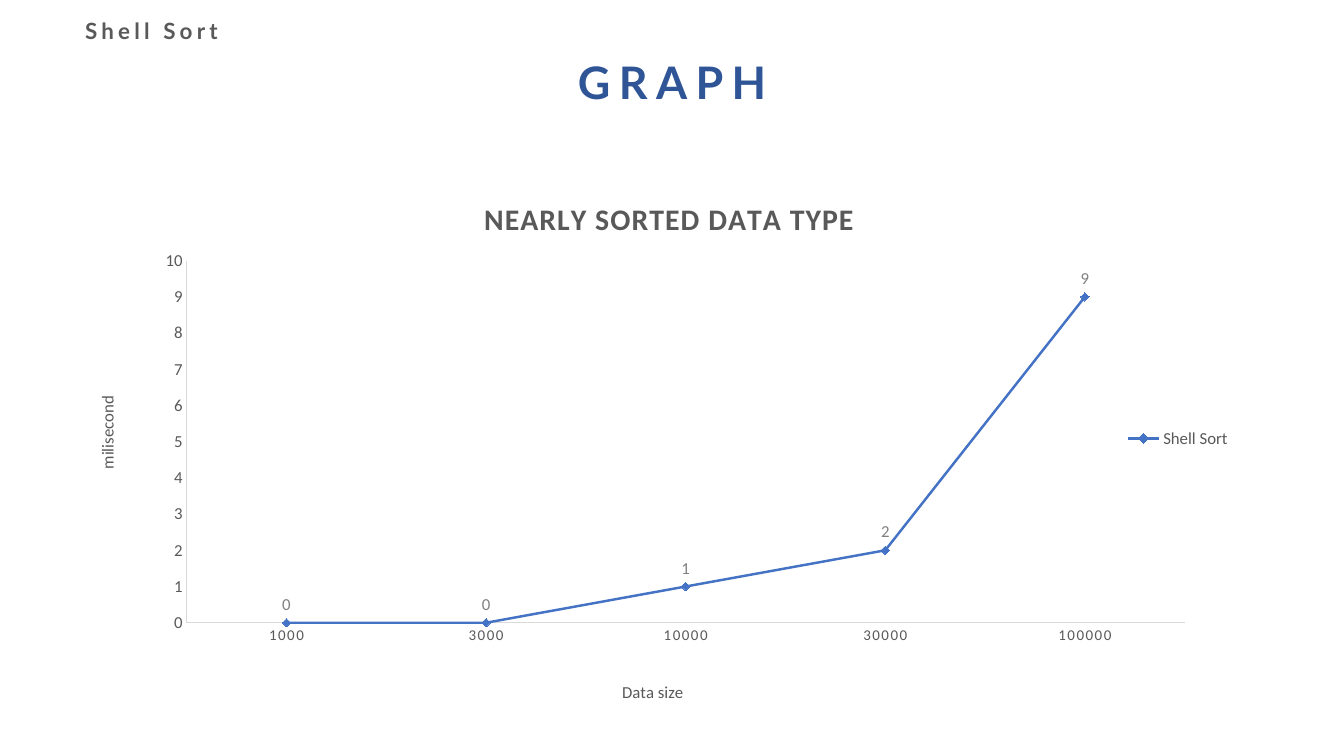
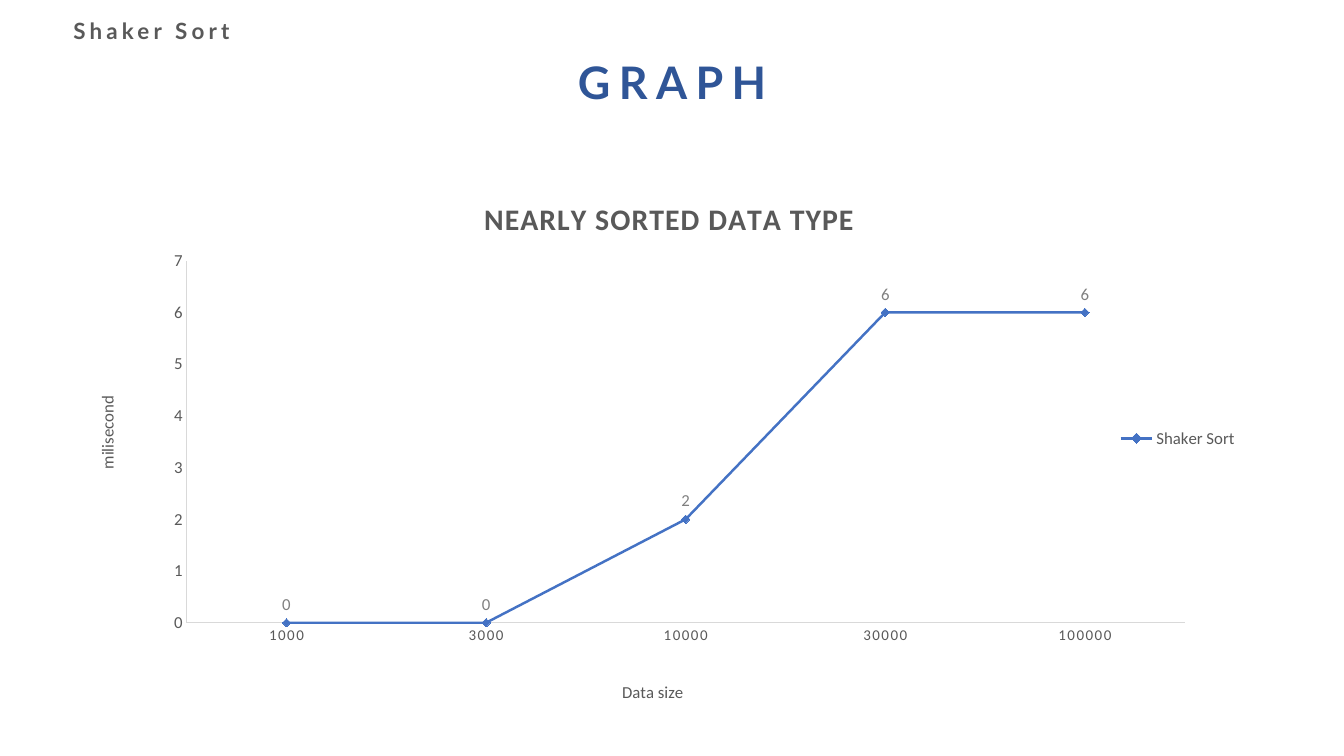
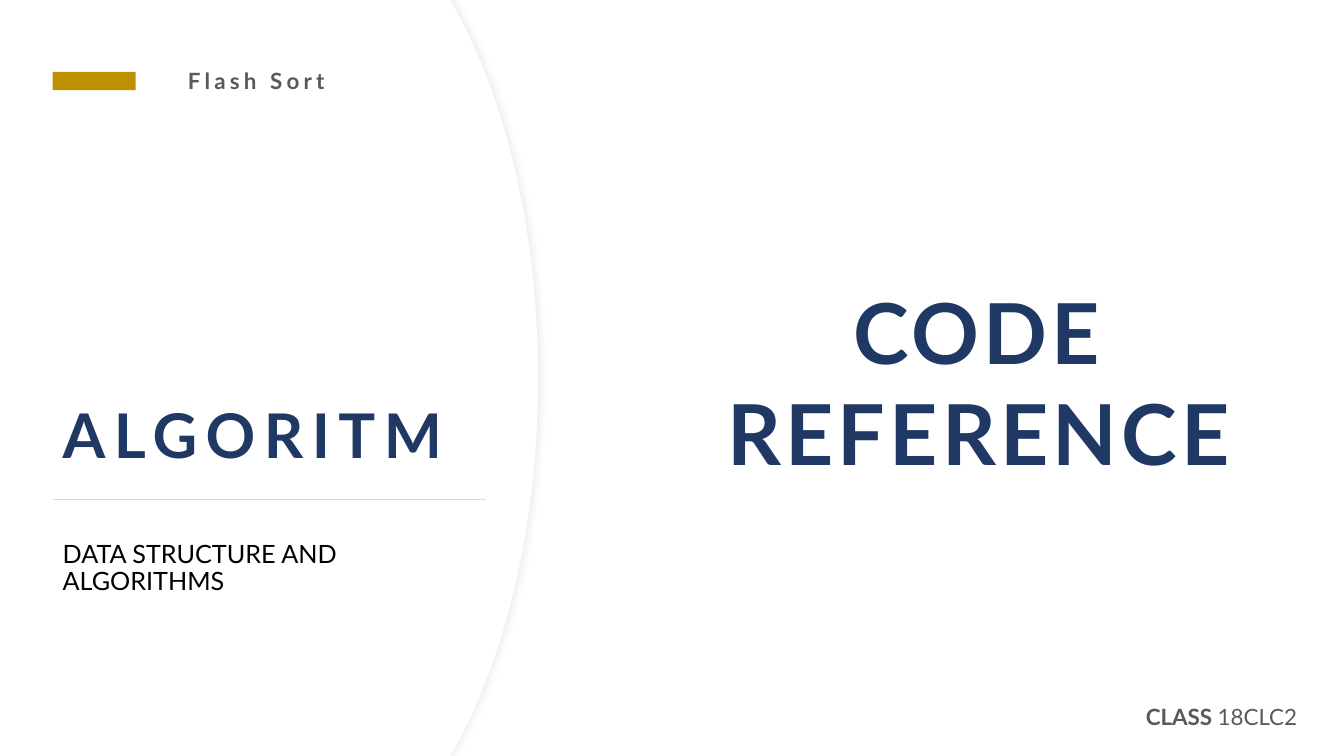
from lxml.etree import SubElement
from pptx import Presentation
from pptx.chart.data import CategoryChartData
from pptx.dml.color import RGBColor
from pptx.enum.chart import XL_CHART_TYPE as ChartType
from pptx.enum.chart import XL_LABEL_POSITION as LabelPosition
from pptx.enum.chart import XL_LEGEND_POSITION as LegendPosition
from pptx.enum.chart import XL_MARKER_STYLE as MarkerStyle
from pptx.enum.chart import XL_TICK_MARK as TickMark
from pptx.enum.shapes import MSO_CONNECTOR as Connector
from pptx.enum.shapes import MSO_SHAPE as Shape
from pptx.enum.text import MSO_ANCHOR as Anchor
from pptx.enum.text import MSO_AUTO_SIZE as AutoSize
from pptx.enum.text import PP_ALIGN as Align
from pptx.oxml.ns import qn
from pptx.util import Cm, Pt

COLORS = {
    "white": "FFFFFF",
    "black": "000000",
    "gray": "595959",
    "label": "808080",
    "rule": "D9D9D9",
    "blue": "2F5597",
    "navy": "203864",
    "gold": "BF9000",
    "series": "4472C4",
}
TEXT_FONT = "Lato"
CHART_FONT = "Calibri"
SLIDE_WIDTH, SLIDE_HEIGHT = 33.87, 19.05
SIZES = ["1000", "3000", "10000", "30000", "100000"]


def color(name):
    return RGBColor.from_string(COLORS[name])


def style_font(font, size, tone, bold=False, spacing=0, name=CHART_FONT):
    font.name, font.size, font.bold = name, Pt(size), bold
    font.color.rgb = color(tone)
    if spacing:
        font._rPr.set("spc", str(round(spacing * 100)))


def place(parent, after=None, target=None, **fractions):
    """Give a chart part a manual layout, in fractions of the chart."""
    for old in parent.findall(qn("c:layout")):
        parent.remove(old)
    layout = SubElement(parent, qn("c:layout"))
    if after:
        parent.find(qn(after)).addnext(layout)
    else:
        parent.insert(0, layout)
    manual = SubElement(layout, qn("c:manualLayout"))
    values = {"layoutTarget": target} if target else {}
    values.update(xMode="edge", yMode="edge", **fractions)
    for tag, value in values.items():
        SubElement(manual, qn(f"c:{tag}")).set("val", str(value))


class Deck:
    """The shared style and the slide being filled."""

    def __init__(self):
        self.presentation = Presentation()
        self.presentation.slide_width = Cm(SLIDE_WIDTH)
        self.presentation.slide_height = Cm(SLIDE_HEIGHT)
        self.slide = None

    def new_slide(self):
        blank = self.presentation.slide_layouts[6]
        self.slide = self.presentation.slides.add_slide(blank)

    def text(self, box, runs, size, tone, bold=True, spacing=0, align=Align.CENTER,
             anchor=Anchor.TOP, grow=True, line=None, before=0, after=6):
        """Add a text box; runs is a string or a list of (text, bold) pairs."""
        shape = self.slide.shapes.add_textbox(*map(Cm, box))
        frame = shape.text_frame
        frame.word_wrap = True
        frame.auto_size = AutoSize.SHAPE_TO_FIT_TEXT if grow else AutoSize.NONE
        frame.vertical_anchor = anchor
        paragraph = frame.paragraphs[0]
        paragraph.alignment = align
        paragraph.line_spacing = line
        paragraph.space_before, paragraph.space_after = Pt(before), Pt(after)
        style_font(paragraph.font, size, tone, bold, spacing, TEXT_FONT)
        if isinstance(runs, str):
            paragraph.add_run().text = runs
        else:
            for words, strong in runs:
                run = paragraph.add_run()
                run.text, run.font.bold = words, strong

    def tag(self, left, top, name):
        self.text((left, top, 5.56, 0.94), name, 16, "gray", spacing=3)

    def fill(self, shape, tone):
        shape.shadow.inherit = False
        shape.fill.solid()
        shape.fill.fore_color.rgb = color(tone)
        shape.line.fill.background()

    def bar(self, box, tone):
        self.fill(self.slide.shapes.add_shape(Shape.RECTANGLE, *map(Cm, box)), tone)

    def rule(self, left, right, top):
        line = self.slide.shapes.add_connector(
            Connector.STRAIGHT, Cm(left), Cm(top), Cm(right), Cm(top))
        line.line.color.rgb = color("rule")
        line.line.width = Pt(0.5)
        SubElement(line._element.spPr, qn("a:effectLst"))

    def curved_panel(self):
        """Add the white panel, rounded on the right, with a soft shadow."""
        left, middle, right = -0.15, 6.83, 13.56
        top, center, bottom = -3.33, 9.53, 22.38
        curves = [
            (10.54, top), (right, 2.41), (right, center),
            (right, 16.64), (10.54, bottom), (middle, bottom),
            (5.18, bottom), (3.68, 21.29), (2.51, 19.46),
        ]
        corners = [(2.29, SLIDE_HEIGHT), (left, SLIDE_HEIGHT), (left, 0), (2.29, 0),
                   (2.51, -0.41)]
        closing_curve = [(3.68, -2.24), (5.18, top), (middle, top)]
        points = curves + corners + closing_curve
        builder = self.slide.shapes.build_freeform(Cm(middle), Cm(top), scale=1.0)
        builder.add_line_segments([(Cm(x), Cm(y)) for x, y in points], close=True)
        panel = builder.convert_to_shape()

        # Turn each three points of a curve into one Bezier segment
        lines = list(panel._element.iter(qn("a:lnTo")))
        for start in (0, 3, 6, len(curves) + len(corners)):
            segment = lines[start:start + 3]
            bezier = SubElement(segment[0].getparent(), qn("a:cubicBezTo"))
            segment[0].addprevious(bezier)
            for step in segment:
                bezier.append(step[0])
                step.getparent().remove(step)

        self.fill(panel, "white")
        effects = panel._element.spPr.find(qn("a:effectLst"))
        shadow = SubElement(effects, qn("a:outerShdw"), blurRad=str(Pt(4)),
                            dist=str(Pt(3)), dir="0", algn="l", rotWithShape="0")
        tone = SubElement(shadow, qn("a:srgbClr"), val=COLORS["rule"])
        SubElement(tone, qn("a:alpha"), val="40000")

    def chart_title(self, title, words, size, x, y, bold=False, spacing=0):
        paragraph = title.text_frame.paragraphs[0]
        paragraph.add_run().text = words
        style_font(paragraph.font, size, "gray", bold, spacing)
        place(title._element, "c:tx", x=x, y=y)

    def line_chart(self, box, name, values, top_value):
        data = CategoryChartData()
        data.categories = SIZES
        data.add_series(name, values)
        chart = self.slide.shapes.add_chart(
            ChartType.LINE_MARKERS, *map(Cm, box), data).chart
        style_font(chart.font, 10, "black")
        place(chart._chartSpace.chart.plotArea, target="inner",
              x=0.081, y=0.154, w=0.861, h=0.669)

        # Titles
        chart.has_title = True
        self.chart_title(chart.chart_title, "NEARLY SORTED DATA TYPE", 21.28,
                         0.333, 0.03, bold=True, spacing=0.9)
        category_axis, value_axis = chart.category_axis, chart.value_axis
        self.chart_title(category_axis.axis_title, "Data size", 12, 0.454, 0.925)
        self.chart_title(value_axis.axis_title, "milisecond", 12, 0, 0.398)
        body = value_axis.axis_title.text_frame._txBody.bodyPr
        body.set("rot", "-5400000")
        body.set("vert", "horz")

        # Axes
        for axis, size, spacing in ((category_axis, 10.64, 1.2), (value_axis, 12, 0)):
            axis.has_major_gridlines = False
            axis.major_tick_mark = axis.minor_tick_mark = TickMark.NONE
            axis.format.line.color.rgb = color("rule")
            axis.format.line.width = Pt(0.75)
            style_font(axis.tick_labels.font, size, "gray", spacing=spacing)
        value_axis.minimum_scale, value_axis.maximum_scale = 0, top_value
        value_axis.major_unit = 1

        # Legend
        chart.has_legend = True
        chart.legend.position = LegendPosition.RIGHT
        chart.legend.include_in_layout = False
        style_font(chart.legend.font, 12, "gray")
        place(chart.legend._element, "c:legendPos", x=0.875, y=0.452, w=0.122, h=0.06)

        # Series
        plot = chart.plots[0]
        plot.vary_by_categories = False
        series = plot.series[0]
        series.smooth = False
        series.format.line.color.rgb = color("series")
        series.format.line.width = Pt(1.75)
        marker = series.marker
        marker.style, marker.size = MarkerStyle.DIAMOND, 6
        marker.format.fill.solid()
        marker.format.fill.fore_color.rgb = color("series")
        marker.format.line.color.rgb = color("series")
        labels = series.data_labels
        labels.show_value = True
        labels.position = LabelPosition.ABOVE
        style_font(labels.font, 12, "label")

    def graph_slide(self, name, values, top_value):
        self.new_slide()
        self.text((13.56, 1.26, 6.76, 1.63), "GRAPH", 32, "blue", spacing=6, after=0)
        self.line_chart((2.34, 4.47, 29.21, 13.64), name, values, top_value)
        self.tag(1.04, 0.3, name)

    def section_slide(self, name):
        self.new_slide()
        margin = 1.33
        self.curved_panel()
        # Left panel
        self.text((margin, 3.12, 11.18, 8.89), "ALGORITM", 44, "navy", spacing=6,
                  align=Align.LEFT, anchor=Anchor.BOTTOM, grow=False, line=0.9)
        self.text((margin, 13.53, 10.92, 3.35), "DATA STRUCTURE AND ALGORITHMS", 18,
                  "black", bold=False, align=Align.LEFT, grow=False, line=0.9,
                  before=10, after=0)
        # Class name, bottom right
        self.text((27.7, 17.59, 6.17, 0.94), [("CLASS ", True), ("18CLC2", False)],
                  16, "gray")
        # Tag, its gold bar and the rule
        self.tag(3.68, 1.57, name)
        self.bar((margin, 1.81, 2.09, 0.46), "gold")
        self.rule(margin, 12.24, 12.58)
        # Main heading
        self.text((17.83, 6.95, 13.67, 5.38), "CODE REFERENCE", 60, "navy", spacing=3)


def main():
    deck = Deck()
    deck.graph_slide("Shell Sort", (0, 0, 1, 2, 9), 10)
    deck.graph_slide("Shaker Sort", (0, 0, 2, 6, 6), 7)
    deck.section_slide("Flash Sort")
    deck.presentation.save("out.pptx")


if __name__ == "__main__":
    main()
